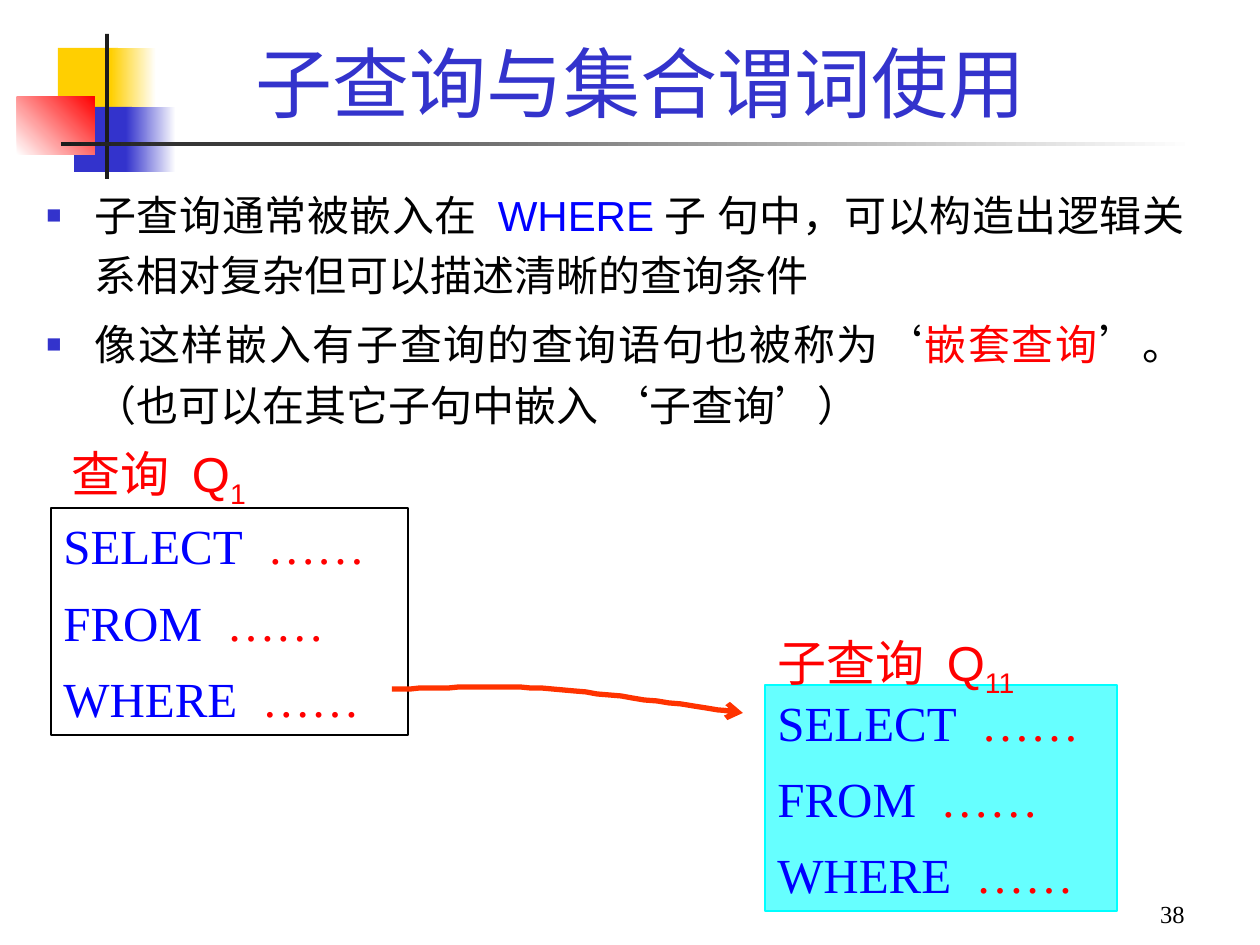
from dataclasses import dataclass

import pptx
import pptx.dml.color
import pptx.enum.dml
import pptx.enum.shapes
import pptx.enum.text
import pptx.oxml
import pptx.oxml.ns
import pptx.util

PX = 914400 / 126
BLUE, RED, BLACK, NAVY = "0000FF", "FF0000", "000000", "3333CC"
CJK, SANS, SERIF = "Noto Sans CJK SC", "Arial", "Times New Roman"
ALIGN = pptx.enum.text.PP_ALIGN
ANCHOR = pptx.enum.text.MSO_ANCHOR


@dataclass
class Box:
    left: int
    top: int
    width: int
    height: int

    def emu(self) -> list[int]:
        return [px(v) for v in (self.left, self.top, self.width, self.height)]


@dataclass
class Block:
    """A master decoration; with an end colour it fades at the given angle."""
    box: Box
    color: str
    end: str = ""
    angle: int = 0


@dataclass
class Run:
    text: str
    color: str
    subscript: bool = False


@dataclass
class Query:
    caption: str
    number: str
    caption_box: Box
    box: Box
    line: str
    fill: str = ""


def px(value: float) -> int:
    return round(value * PX)


def rgb(value: str) -> pptx.dml.color.RGBColor:
    return pptx.dml.color.RGBColor.from_string(value)


def add_xml(parent, tag: str, **attrs: str):
    el = pptx.oxml.parse_xml(f"<a:{tag} {pptx.oxml.ns.nsdecls('a')}/>")
    for name, value in attrs.items():
        el.set(name, value)
    parent.append(el)
    return el


def add_rect(s, box: Box, fill: str = "", line: str = ""):
    sp = s.shapes.add_shape(pptx.enum.shapes.MSO_SHAPE.RECTANGLE, *box.emu())
    sp.shadow.inherit = False
    if fill:
        sp.fill.solid()
        sp.fill.fore_color.rgb = rgb(fill)
    else:
        sp.fill.background()
    if line:
        sp.line.color.rgb = rgb(line)
        sp.line.width = pptx.util.Pt(0.75)
    else:
        sp.line.fill.background()
    return sp


def add_block(s, block: Block) -> None:
    sp = add_rect(s, block.box, block.color)
    if block.end:
        sp.fill.gradient()
        sp.fill.gradient_angle = block.angle
        for stop, color in zip(sp.fill.gradient_stops, (block.color, block.end)):
            stop.color.rgb = rgb(color)


def write(sp, paragraphs: list[list[Run]], size: int, font: str,
          anchor=ANCHOR.TOP, **formats) -> None:
    """Fill a shape with text; formats are paragraph attributes."""
    tf = sp.text_frame
    tf.word_wrap = True
    tf.vertical_anchor = anchor
    for i, runs in enumerate(paragraphs):
        p = tf.paragraphs[0] if i == 0 else tf.add_paragraph()
        for name, value in {"alignment": ALIGN.LEFT, **formats}.items():
            setattr(p, name, value)
        for run in runs:
            r = p.add_run()
            r.text = run.text
            for name, value in {"size": pptx.util.Pt(size), "name": font}.items():
                setattr(r.font, name, value)
            r.font.color.rgb = rgb(run.color)
            rpr = r.font._element
            add_xml(rpr, "ea", typeface=CJK)
            if run.subscript:
                rpr.set("baseline", "-25000")


def add_text(s, box: Box, *args, **kwargs):
    sp = s.shapes.add_textbox(*box.emu())
    write(sp, *args, **kwargs)
    return sp


def add_bullets(sp) -> None:
    for p in sp.text_frame.paragraphs:
        ppr = p._p.get_or_add_pPr()
        ppr.set("marL", str(px(48)))
        ppr.set("indent", str(-px(48)))
        add_xml(add_xml(ppr, "buClr"), "srgbClr", val=NAVY)
        add_xml(ppr, "buSzPct", val="60000")
        add_xml(ppr, "buFont", typeface=SANS)
        add_xml(ppr, "buChar", char="■")


def add_query(s, query: Query) -> None:
    sp = add_rect(s, query.box, query.fill, query.line)
    clauses = [[Run(word, BLUE), Run("  ……", RED)]
               for word in ("SELECT", "FROM", "WHERE")]
    write(sp, clauses, 28, SERIF, ANCHOR.MIDDLE, space_before=pptx.util.Pt(10))
    caption = [Run(query.caption, RED), Run(query.number, RED, True)]
    add_text(s, query.caption_box, [caption], 28, SANS)


def bezier(a, b, c, d, steps: int = 16) -> list[tuple[float, float]]:
    """Points along a cubic curve, without its start."""
    points = []
    for i in range(1, steps + 1):
        t = i / steps
        u = 1 - t
        weights = (u ** 3, 3 * u * u * t, 3 * u * t * t, t ** 3)
        points.append(tuple(sum(w * q[k] for w, q in zip(weights, (a, b, c, d)))
                            for k in (0, 1)))
    return points


def add_curved_arrow(s) -> None:
    start, middle, end = (392, 689), (552, 689), (743, 713)
    points = (bezier(start, (442, 688), (493, 685), middle)
              + bezier(middle, (610, 694), (677, 704), end))
    builder = s.shapes.build_freeform(*start, scale=PX)
    builder.add_line_segments(points, close=False)
    sp = builder.convert_to_shape()
    sp.shadow.inherit = False
    sp.fill.background()
    sp.line.color.rgb = rgb("FF3300")
    sp.line.width = pptx.util.Pt(3)
    add_xml(sp.line._get_or_add_ln(), "tailEnd", type="arrow")


BLOCKS = [
    Block(Box(58, 48, 60, 66), "FFCF01"),
    Block(Box(111, 48, 45, 66), "FFCF01", "FFFFFF"),
    Block(Box(74, 107, 58, 65), NAVY),
    Block(Box(126, 107, 50, 65), NAVY, "FFFFFF"),
    Block(Box(17, 97, 78, 58), "FFFFFF", RED, 45),
    Block(Box(105, 34, 4, 145), "1C1C1C"),
    Block(Box(61, 142, 1134, 4), "1C1C1C", "FFFFFF"),
]
BODY = [
    [Run("子查询通常被嵌入在 ", BLACK), Run("WHERE", BLUE),
     Run("子 句中，可以构造出逻辑关系相对复杂但可以描述清晰的查询条件", BLACK)],
    [Run("像这样嵌入有子查询的查询语句也被称为‘", BLACK), Run("嵌套查询", RED),
     Run("’。（也可以在其它子句中嵌入 ‘子查询’）", BLACK)],
]
QUERIES = [
    Query("查询 Q", "1", Box(59, 437, 357, 72), Box(51, 508, 357, 227), BLACK),
    Query("子查询 Q", "11", Box(765, 626, 352, 72), Box(765, 685, 352, 226),
          "00FFFF", "66FFFF"),
]


def main() -> None:
    prs = pptx.Presentation()
    prs.slide_width, prs.slide_height = px(1260), px(945)
    s = prs.slides.add_slide(prs.slide_layouts[6])
    for block in BLOCKS:
        add_block(s, block)
    add_text(s, Box(56, 23, 1169, 117), [[Run("子查询与集合谓词使用", NAVY)]],
             44, CJK, ANCHOR.MIDDLE, alignment=ALIGN.CENTER)
    body = add_text(s, Box(34, 173, 1163, 746), BODY, 24, SANS,
                    alignment=ALIGN.JUSTIFY, line_spacing=1.2,
                    space_before=pptx.util.Pt(5))
    add_bullets(body)
    add_text(s, Box(935, 872, 262, 63), [[Run("38", BLACK)]], 14, SERIF,
             ANCHOR.BOTTOM, alignment=ALIGN.RIGHT)
    for query in QUERIES:
        add_query(s, query)
    add_curved_arrow(s)
    prs.save("out.pptx")


if __name__ == "__main__":
    main()
